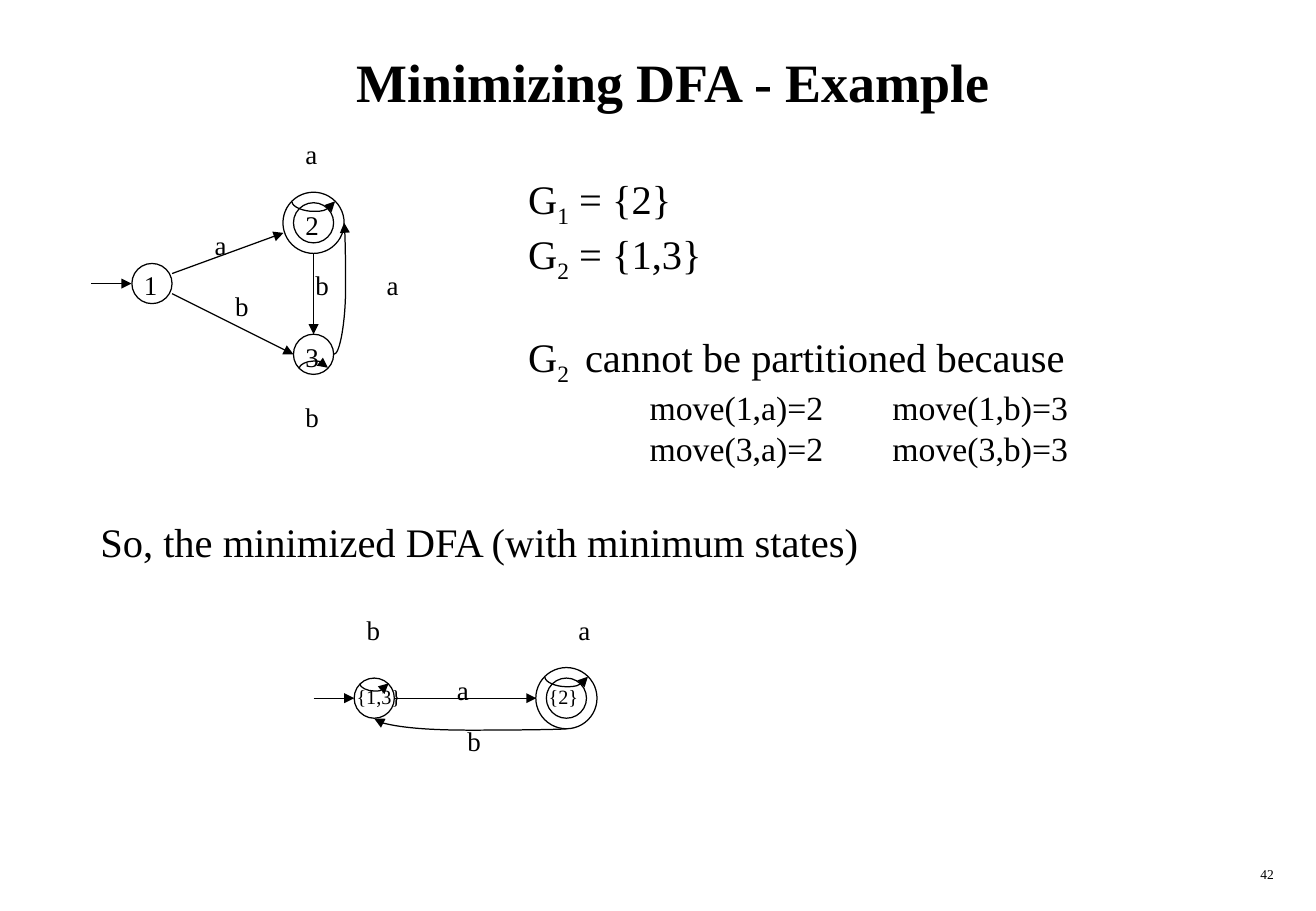
import pptx
import pptx.dml.color
import pptx.enum.shapes
import pptx.enum.text
import pptx.oxml
import pptx.oxml.ns
import pptx.util
from lxml import etree

Cm, Pt = pptx.util.Cm, pptx.util.Pt
ALIGN = pptx.enum.text.PP_ALIGN
KIND = pptx.enum.shapes.MSO_CONNECTOR
COLORS = {"ink": "000000"}
FONT = "Times New Roman"
INK = pptx.dml.color.RGBColor.from_string(COLORS["ink"])
SMALL, LARGE = 0.42, 0.64


def child(parent, tag, **attrs):
    item = etree.SubElement(parent, pptx.oxml.ns.qn(tag))
    for key, value in attrs.items():
        item.set(key, value)
    return item


def style(para, size, bold=False):
    para.font.name = FONT
    para.font.size = Pt(size)
    para.font.bold = bold
    para.font.color.rgb = INK


def text(slide, words, x, y, w, h, size, align=ALIGN.LEFT, bold=False, wrap=False):
    frame = slide.shapes.add_textbox(Cm(x), Cm(y), Cm(w), Cm(h)).text_frame
    frame.word_wrap = wrap
    para = frame.paragraphs[0]
    para.text = words
    para.alignment = align
    style(para, size, bold)
    return frame


def label(slide, words, x, y):
    text(slide, words, x, y, 0.79, 0.94, 16)


def ring(slide, x, y, r):
    shape = slide.shapes.add_shape(
        pptx.enum.shapes.MSO_SHAPE.OVAL, Cm(x - r), Cm(y - r), Cm(2 * r), Cm(2 * r))
    shape.shadow.inherit = False
    shape.fill.background()
    shape.line.color.rgb = INK
    shape.line.width = Pt(0.75)


def state(slide, x, y, final=False):
    ring(slide, x, y, SMALL)
    if final:
        ring(slide, x, y, LARGE)


def arrow(slide, x1, y1, x2, y2, kind=KIND.STRAIGHT):
    line = slide.shapes.add_connector(kind, Cm(x1), Cm(y1), Cm(x2), Cm(y2))
    line.line.color.rgb = INK
    line.line.width = Pt(0.75)
    child(line.line._get_or_add_ln(), "a:tailEnd", type="triangle")
    child(line._element.spPr, "a:effectLst")
    return line


def curve(slide, x1, y1, x2, y2, bend, turned=True):
    """Curved arrow; bend is the y it swings to, or the x if not turned."""
    if turned:
        ratio = (y1 - bend) / (y1 - y2)
        cx, cy = (x1 + x2) / 2, (y1 + y2) / 2
        x1, y1, x2, y2 = cx + cy - y1, cy + x1 - cx, cx + cy - y2, cy + x2 - cx
    else:
        ratio = (bend - x1) / (x2 - x1)
    line = arrow(slide, x1, y1, x2, y2, KIND.CURVE)
    line.rotation = 270 if turned else 0
    guides = line._element.spPr.find(".//" + pptx.oxml.ns.qn("a:avLst"))
    child(guides, "a:gd", name="adj1", fmla=f"val {round(ratio * 100000)}")


def loop(slide, x, y, reach, depth):
    """Arrow from left to right of x that dips by depth."""
    curve(slide, x - reach, y, x + reach, y - 0.01, y + depth)


def proof(slide):
    frame = text(slide, "", 10.8, 3.51, 12.2, 6.6, 24, wrap=True)
    lines = [("1", " = {2}"), ("2", " = {1,3}"), ("2 ", " cannot be partitioned because")]
    for row, (index, rest) in enumerate(lines):
        para = frame.add_paragraph() if row else frame.paragraphs[0]
        for part in ("G", index, rest):
            run = para.add_run()
            run.text = part
            if part == index:
                run.font._element.set("baseline", "-25000")
        style(para, 24)
    para.space_before = Pt(28)
    for source in (1, 3):
        para = frame.add_paragraph()
        para.text = f"\tmove({source},a)=2\tmove({source},b)=3"
        tabs = child(para._p.get_or_add_pPr(), "a:tabLst")
        for stop in (2.54, 7.62):
            child(tabs, "a:tab", pos=str(Cm(stop)), algn="l")
        style(para, 20)


def first(slide):
    state(slide, 3.18, 5.93)
    state(slide, 6.56, 4.66, final=True)
    state(slide, 6.56, 7.41)
    for ends in [(1.91, 5.93, 2.75, 5.93), (3.6, 5.72, 5.93, 4.87),
                 (3.6, 6.14, 6.14, 7.41), (6.56, 5.29, 6.56, 6.99)]:
        arrow(slide, *ends)
    curve(slide, 6.99, 7.41, 7.2, 4.66, 7.23, turned=False)
    loop(slide, 6.56, 4.22, 0.45, 0.2)
    loop(slide, 6.56, 7.7, 0.3, -0.15)
    for words, x, y in [("b", 6.35, 5.5), ("a", 7.84, 5.5), ("a", 6.14, 2.75),
                        ("a", 4.24, 4.66), ("b", 6.14, 8.26), ("b", 4.67, 5.93),
                        ("3", 6.14, 6.99), ("2", 6.14, 4.23), ("1", 2.76, 5.5)]:
        label(slide, words, x, y)


def second(slide):
    state(slide, 7.83, 14.6)
    state(slide, 11.85, 14.6, final=True)
    arrow(slide, 6.56, 14.6, 7.41, 14.6)
    arrow(slide, 8.26, 14.6, 11.22, 14.6)
    loop(slide, 7.83, 14.3, 0.3, 0.15)
    loop(slide, 11.85, 14.16, 0.45, 0.2)
    curve(slide, 11.85, 15.24, 7.83, 15.03, 15.27)
    text(slide, "{1,3}", 7.21, 14.18, 1.45, 0.76, 12)
    text(slide, "{2}", 11.23, 14.18, 1.12, 0.76, 12)
    for words, x, y in [("a", 11.85, 12.7), ("a", 9.31, 13.97),
                        ("b", 9.53, 15.03), ("b", 7.42, 12.7)]:
        label(slide, words, x, y)


def main():
    deck = pptx.Presentation()
    deck.slide_width, deck.slide_height = Cm(27.53), Cm(19.05)
    slide = deck.slides.add_slide(deck.slide_layouts[6])
    title = text(slide, "Minimizing DFA - Example", 1.07, 0.43, 26.04, 2.54, 32,
                 ALIGN.CENTER, bold=True, wrap=True)
    title.vertical_anchor = pptx.enum.text.MSO_ANCHOR.MIDDLE
    first(slide)
    proof(slide)
    text(slide, "So, the minimized DFA (with minimum states)", 1.85, 10.69, 16.46, 1.27, 24)
    second(slide)
    text(slide, "42", 21.16, 17.98, 5.74, 0.64, 8, ALIGN.RIGHT, wrap=True)
    deck.save("out.pptx")


if __name__ == "__main__":
    main()
